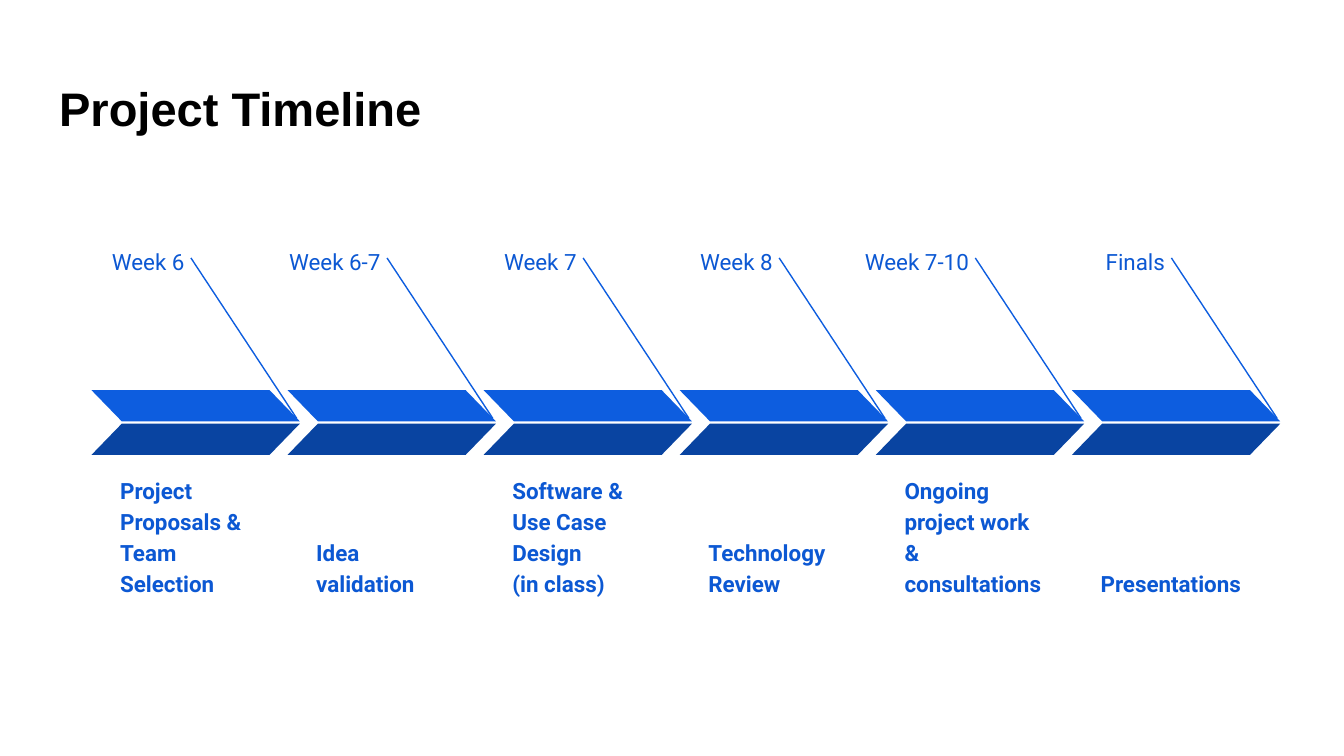
import pptx
import pptx.dml.color
import pptx.enum.shapes
import pptx.enum.text
import pptx.oxml.ns
import pptx.util
import lxml.etree

Pt = pptx.util.Pt
SHAPE = pptx.enum.shapes.MSO_SHAPE
ALIGN = pptx.enum.text.PP_ALIGN
ANCHOR = pptx.enum.text.MSO_ANCHOR


def rgb(value):
    return pptx.dml.color.RGBColor.from_string(value)


def write(sp, lines, size, font, color, bold, align, anchor, spacing=1.0, after=0):
    tf = sp.text_frame
    tf.word_wrap = True
    tf.auto_size = pptx.enum.text.MSO_AUTO_SIZE.NONE
    tf.vertical_anchor = anchor
    tf.margin_left = tf.margin_right = tf.margin_top = tf.margin_bottom = Pt(7.2)
    for n, line in enumerate(lines):
        p = tf.add_paragraph() if n else tf.paragraphs[0]
        p.alignment = align
        p.line_spacing = spacing
        p.space_before = Pt(0)
        p.space_after = Pt(after)
        r = p.add_run()
        r.text = line
        r.font.size = Pt(size)
        r.font.name = font
        r.font.bold = bold
        r.font.color.rgb = rgb(color)


prs = pptx.Presentation()
prs.slide_width = Pt(720)
prs.slide_height = Pt(405)
s = prs.slides.add_slide(prs.slide_layouts[5])

title = s.shapes.title
title.left, title.top, title.width, title.height = Pt(24.5), Pt(35.3), Pt(671), Pt(45.4)
write(title, ["Project Timeline"], 25.2, "Arial", "000000", True, ALIGN.LEFT, ANCHOR.TOP)

steps = [
    ("Week 6", 57, ["Project Proposals & Team Selection"]),
    ("Week 6-7", 69, ["Idea validation"]),
    ("Week 7", 57, ["Software &", "Use Case Design", "(in class)"]),
    ("Week 8", 57, ["Technology Review"]),
    ("Week 7-10", 76, ["Ongoing project work & consultations"]),
    ("Finals", 57, ["Presentations"]),
]
left, pitch = 49, 105.05

for i, (week, week_width, task) in enumerate(steps):
    x = left + i * pitch
    shapes = s.shapes.add_group_shape().shapes

    line = shapes.add_connector(
        pptx.enum.shapes.MSO_CONNECTOR.STRAIGHT,
        Pt(x + 53.3), Pt(138.2), Pt(x + 110), Pt(224.2),
    )
    line.line.color.rgb = rgb("0D5DDF")
    line.line.width = Pt(0.75)
    lxml.etree.SubElement(line._element.spPr, pptx.oxml.ns.qn("a:effectLst"))

    for y, color, flipped in ((209, "0D5DDF", True), (227, "0944A1", False)):
        sp = shapes.add_shape(SHAPE.PARALLELOGRAM, Pt(x), Pt(y), Pt(111.6), Pt(16.7))
        sp.adjustments[0] = 0.97
        sp.shadow.inherit = False
        sp.fill.solid()
        sp.fill.fore_color.rgb = rgb(color)
        sp.line.fill.background()
        if flipped:
            sp._element.spPr.xfrm.set("flipH", "1")

    sp = shapes.add_textbox(Pt(x + 8.3), Pt(254.2), Pt(92), Pt(72.7))
    write(sp, task, 12, "Roboto", "0C58D3", True, ALIGN.LEFT, ANCHOR.BOTTOM, 1.15)

    sp = shapes.add_textbox(Pt(x + 57 - week_width), Pt(123.8), Pt(week_width), Pt(28))
    write(sp, [week], 12, "Roboto", "0C58D3", False, ALIGN.RIGHT, ANCHOR.TOP, 1.15, 16)

prs.save("out.pptx")
